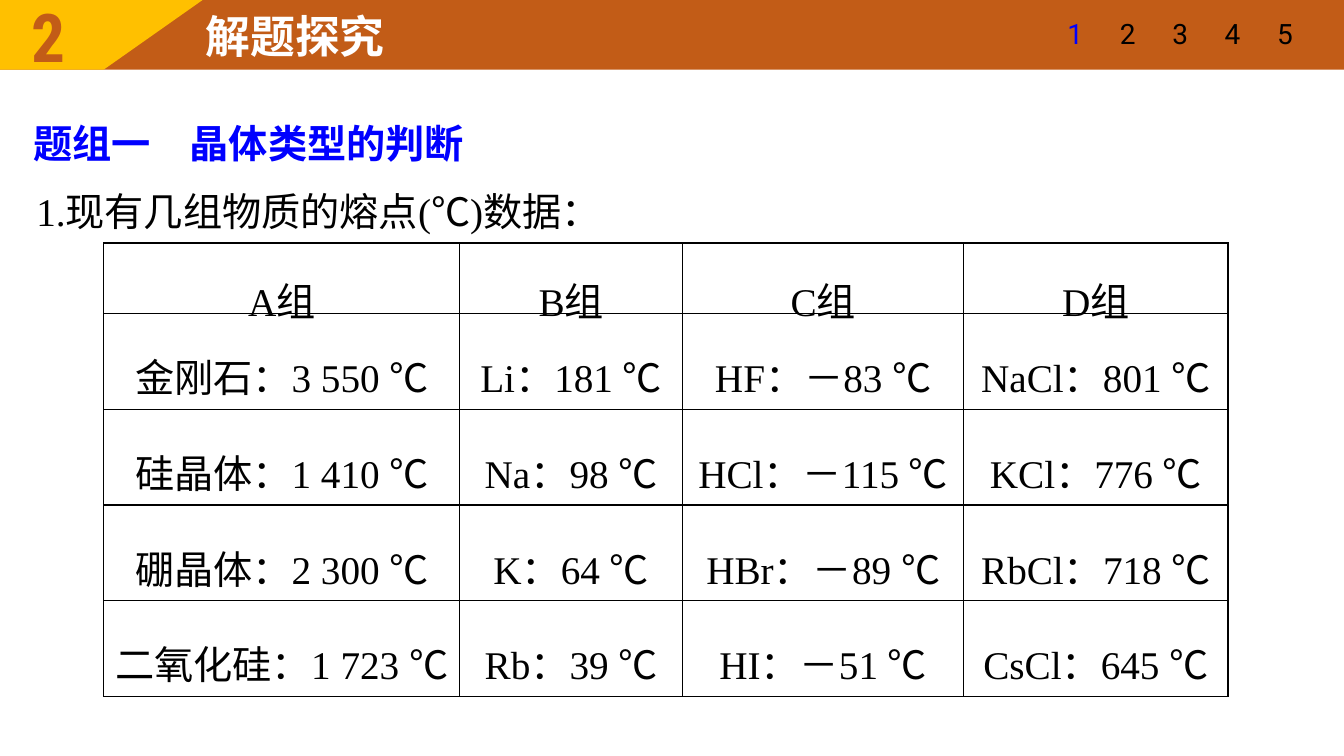
from lxml import etree
from pptx import Presentation
from pptx import util as u
from pptx.dml.color import RGBColor
from pptx.enum import shapes, text
from pptx.oxml.ns import qn

WIDTH, HEIGHT = 13.33, 7.5
SERIF, SANS = "Times New Roman", "Noto Sans CJK SC"
BLACK, BLUE, WHITE, ORANGE, YELLOW = "000000", "0000FF", "FFFFFF", "C25C17", "FFC000"
DEGREE = "℃"

QUESTION = "1.现有几组物质的熔点(℃)数据："
MELTING_POINTS = [
    ["A组", "B组", "C组", "D组"],
    ["金刚石：3 550 ℃", "Li：181 ℃", "HF：－83 ℃", "NaCl：801 ℃"],
    ["硅晶体：1 410 ℃", "Na：98 ℃", "HCl：－115 ℃", "KCl：776 ℃"],
    ["硼晶体：2 300 ℃", "K：64 ℃", "HBr：－89 ℃", "RbCl：718 ℃"],
    ["二氧化硅：1 723 ℃", "Rb：39 ℃", "HI：－51 ℃", "CsCl：645 ℃"],
]
COLUMN_WIDTHS = [3.53, 2.21, 2.79, 2.62]
HEADER_ROW, BODY_ROW = 0.58, 0.95
TABLE_LEFT, TABLE_TOP, TABLE_HEIGHT = 1.03, 2.41, 4.49
BAR_HEIGHT = 0.69
BADGE_WIDTH, SLANT_WIDTH = 1.03, 0.98
PAGES = ["1", "2", "3", "4", "5"]
PAGE_LEFT, PAGE_STEP, PAGE_WIDTH = 10.45, 0.52, 0.43
WIDE_INSETS = (0.13, 0.07, 0.13, 0.07)


def rgb(value):
    return RGBColor.from_string(value)


def add_run(paragraph, words, size, font, color, bold=False):
    run = paragraph.add_run()
    run.text = words
    run.font.size = u.Pt(size)
    run.font.name = font
    run.font.bold = bold
    run.font.color.rgb = rgb(color)
    east_asian = etree.SubElement(run.font._element, qn("a:ea"))
    east_asian.set("typeface", SANS)


def add_degree_runs(paragraph, words):
    before, degree, after = words.partition(DEGREE)
    for part, font in ((before, SERIF), (degree, SANS), (after, SERIF)):
        if part:
            add_run(paragraph, part, 28, font, BLACK)


def add_box(slide, left, top, width, height, wrap=False, insets=(0.1, 0.05, 0.1, 0.05), grow=True):
    frame = slide.shapes.add_textbox(*map(u.Inches, (left, top, width, height))).text_frame
    frame.word_wrap = wrap
    frame.auto_size = text.MSO_AUTO_SIZE.SHAPE_TO_FIT_TEXT if grow else text.MSO_AUTO_SIZE.NONE
    frame.margin_left, frame.margin_top, frame.margin_right, frame.margin_bottom = map(u.Inches, insets)
    return frame


def add_block(slide, kind, left, width, color):
    shape = slide.shapes.add_shape(kind, u.Inches(left), 0, u.Inches(width), u.Inches(BAR_HEIGHT))
    shape.shadow.inherit = False
    shape.fill.solid()
    shape.fill.fore_color.rgb = rgb(color)
    shape.line.fill.background()
    return shape


def add_borders(cell):
    properties = cell._tc.get_or_add_tcPr()
    for index, side in enumerate(("a:lnL", "a:lnR", "a:lnT", "a:lnB")):
        line = etree.Element(qn(side), w=str(u.Pt(1)))
        fill = etree.SubElement(line, qn("a:solidFill"))
        etree.SubElement(fill, qn("a:srgbClr"), val=BLACK)
        properties.insert(index, line)


def add_melting_table(slide):
    holder = slide.shapes.add_table(
        len(MELTING_POINTS), len(COLUMN_WIDTHS), u.Inches(TABLE_LEFT), u.Inches(TABLE_TOP),
        u.Inches(sum(COLUMN_WIDTHS)), u.Inches(TABLE_HEIGHT))
    table = holder.table
    table.first_row = table.horz_banding = False
    for column, width in zip(table.columns, COLUMN_WIDTHS):
        column.width = u.Inches(width)
    for index, (row, entries) in enumerate(zip(table.rows, MELTING_POINTS)):
        row.height = u.Inches(BODY_ROW if index else HEADER_ROW)
        for cell, words in zip(row.cells, entries):
            cell.fill.background()
            cell.vertical_anchor = text.MSO_ANCHOR.MIDDLE
            cell.margin_left = cell.margin_right = u.Inches(0.04)
            cell.margin_top = cell.margin_bottom = 0
            paragraph = cell.text_frame.paragraphs[0]
            paragraph.alignment = text.PP_ALIGN.CENTER
            paragraph.line_spacing = 1.5
            add_degree_runs(paragraph, words)
            add_borders(cell)
    holder.height = u.Inches(TABLE_HEIGHT)


def add_title_bar(slide):
    add_block(slide, shapes.MSO_SHAPE.RECTANGLE, 0, WIDTH, ORANGE)
    add_block(slide, shapes.MSO_SHAPE.RECTANGLE, 0, BADGE_WIDTH, YELLOW)
    slant = add_block(slide, shapes.MSO_SHAPE.RIGHT_TRIANGLE, BADGE_WIDTH, SLANT_WIDTH, YELLOW)
    slant._element.spPr.find(qn("a:xfrm")).set("flipV", "1")
    title = add_box(slide, 1.94, 0.04, 2, 0.64)
    add_run(title.paragraphs[0], "解题探究", 32, "Arial", WHITE, True)
    number = add_box(slide, 0.21, -0.1, 0.71, 0.91, wrap=True)
    add_run(number.paragraphs[0], "2", 48, "Roboto Condensed", ORANGE, True)
    for index, page in enumerate(PAGES):
        frame = add_box(slide, PAGE_LEFT + index * PAGE_STEP, 0.02, PAGE_WIDTH, 0.63,
                        insets=WIDE_INSETS, grow=False)
        frame.vertical_anchor = text.MSO_ANCHOR.MIDDLE
        frame.paragraphs[0].alignment = text.PP_ALIGN.CENTER
        add_run(frame.paragraphs[0], page, 20, "Roboto", BLACK if index else BLUE)


def main():
    presentation = Presentation()
    presentation.slide_width, presentation.slide_height = u.Inches(WIDTH), u.Inches(HEIGHT)
    slide = presentation.slides.add_slide(presentation.slide_layouts[6])

    heading = add_box(slide, 0.23, 0.84, 4.52, 0.76).paragraphs[0]
    heading.line_spacing = u.Pt(55)
    add_run(heading, "题组一\u3000晶体类型的判断".replace("\u3000", "　"), 28, SERIF, BLUE, True)

    question = add_box(slide, 0.23, 1.55, 12.45, 0.75, wrap=True, insets=WIDE_INSETS).paragraphs[0]
    question.alignment = text.PP_ALIGN.JUSTIFY
    question.line_spacing = 1.5
    add_degree_runs(question, QUESTION)

    add_melting_table(slide)
    add_title_bar(slide)
    presentation.save("out.pptx")


if __name__ == "__main__":
    main()
